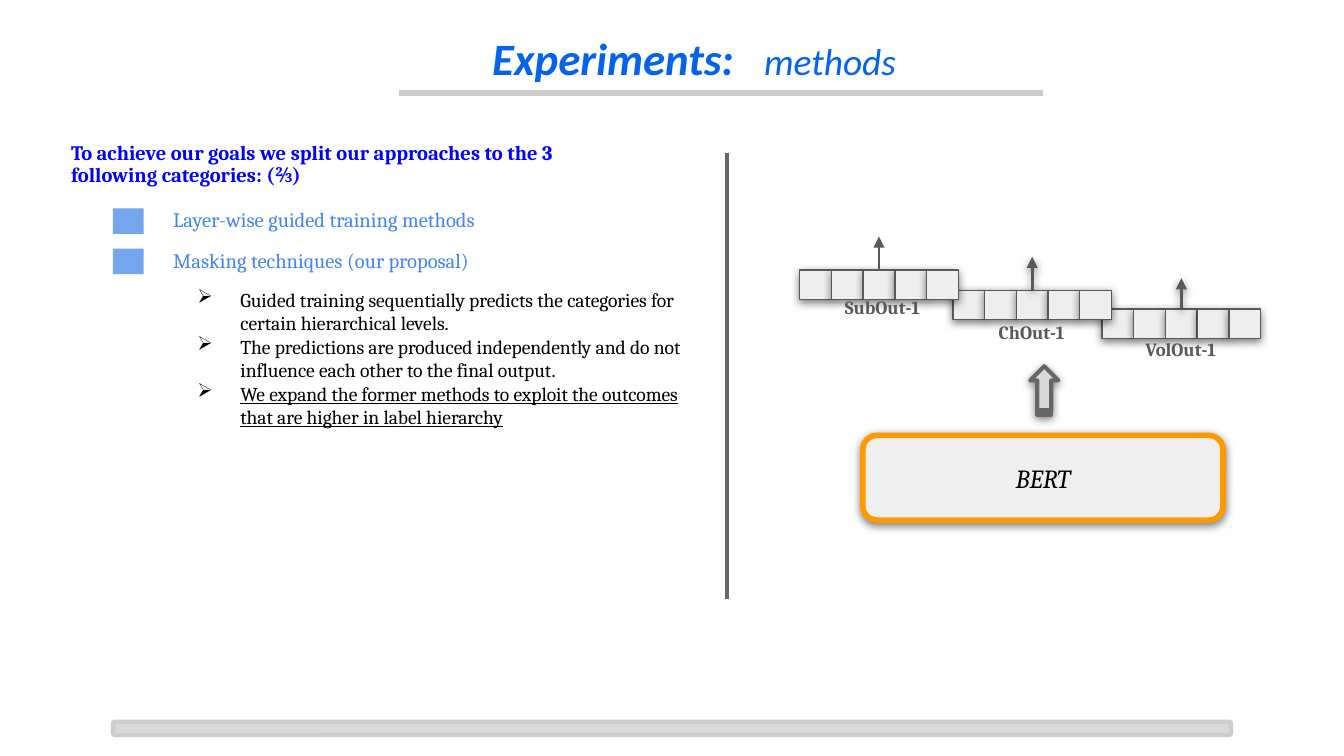
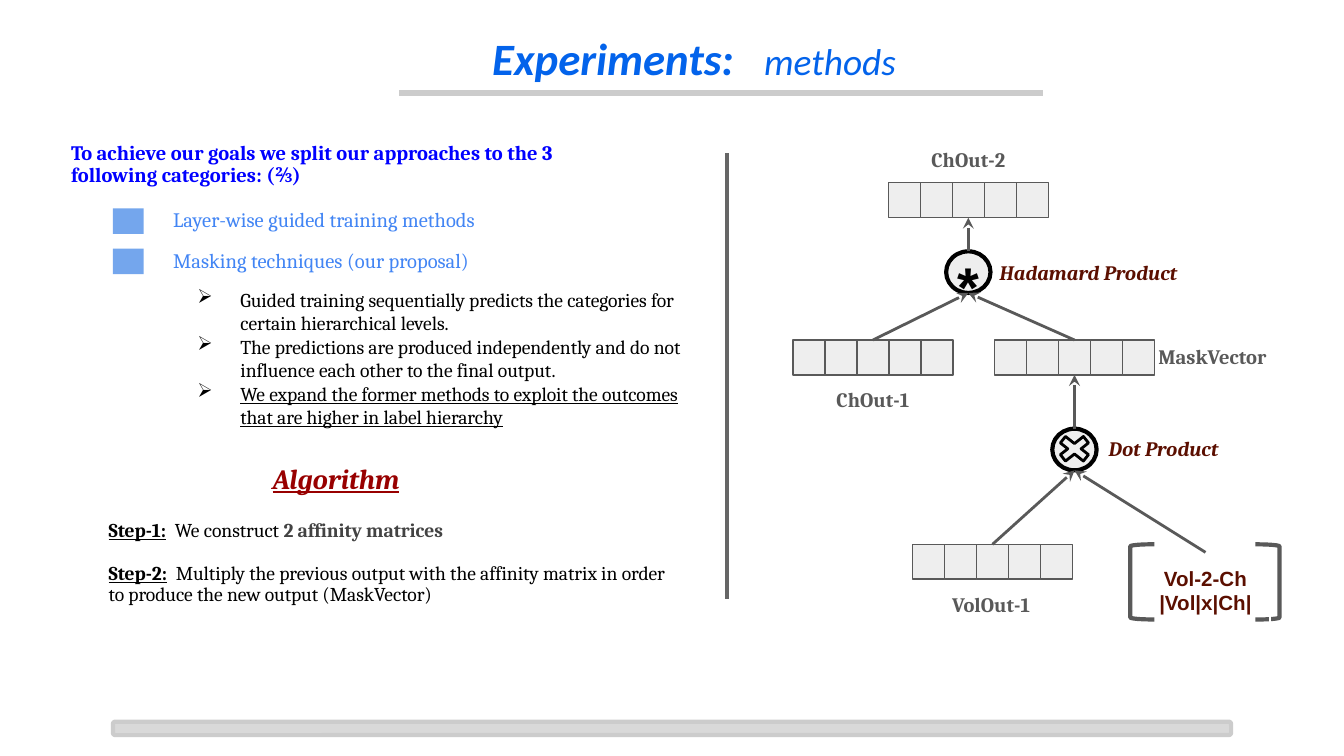
from lxml.etree import SubElement
from pptx import Presentation
from pptx.dml.color import RGBColor
from pptx.enum.shapes import MSO_CONNECTOR, MSO_SHAPE
from pptx.enum.text import MSO_ANCHOR, PP_ALIGN
from pptx.oxml.ns import qn
from pptx.util import Inches, Pt

SLIDE_W = Inches(10)
SLIDE_H = SLIDE_W * 9 // 16
UNIT = SLIDE_W // 100

BLACK = RGBColor(0x00, 0x00, 0x00)
WHITE = RGBColor(0xFF, 0xFF, 0xFF)
TITLE_BLUE = RGBColor(0x03, 0x63, 0xEB)
LEAD_BLUE = RGBColor(0x00, 0x00, 0xFF)
ITEM_BLUE = RGBColor(0x42, 0x85, 0xF4)
SQUARE_BLUE = RGBColor(0x74, 0xA6, 0xED)
RULE_GREY = RGBColor(0xCC, 0xCC, 0xCC)
BAND_GREY = RGBColor(0xD9, 0xD9, 0xD9)
CELL_GREY = RGBColor(0xEE, 0xEE, 0xEE)
MODEL_GREY = RGBColor(0xEF, 0xEF, 0xEF)
INK_GREY = RGBColor(0x59, 0x59, 0x59)
DIVIDER_GREY = RGBColor(0x66, 0x66, 0x66)
STRONG_GREY = RGBColor(0x43, 0x43, 0x43)
ORANGE = RGBColor(0xFF, 0x99, 0x00)
RED = RGBColor(0x98, 0x00, 0x00)
BROWN = RGBColor(0x5B, 0x0F, 0x00)

CELLS = 5
APPROACHES = ["Layer-wise guided training methods", "Masking techniques (our proposal)"]
POINTS = [
    ("Guided training sequentially predicts the categories for certain hierarchical levels.", False),
    ("The predictions are produced independently and do not influence each other to the final output.", False),
    ("We expand the former methods to exploit the outcomes that are higher in label hierarchy", True),
]


def emu(*units):
    """Turn grid units, a hundredth of the slide width each, into EMU."""
    return [round(u * UNIT) for u in units]


def add_run(p, text, size, color, font="Cambria", bold=False, italic=False, underline=False, spc=0):
    """Add one formatted run, with optional extra letter spacing in points."""
    r = p.add_run()
    r.text = text
    r.font.size, r.font.name = Pt(size), font
    r.font.bold, r.font.italic, r.font.underline = bold, italic, underline
    r.font.color.rgb = color
    if spc:
        r._r.get_or_add_rPr().set("spc", str(round(spc * 100)))


def setup_frame(tf, anchor=MSO_ANCHOR.TOP):
    """Give a text frame the shared insets, wrapping and anchor."""
    tf.word_wrap = True
    tf.vertical_anchor = anchor
    tf.margin_left = tf.margin_right = tf.margin_top = tf.margin_bottom = Inches(0.1)
    return tf


def add_text(sh, box, text="", size=11, color=BLACK, align=PP_ALIGN.LEFT,
             anchor=MSO_ANCHOR.TOP, spacing=None, **style):
    """Add a text box with a first paragraph and return its frame."""
    tf = setup_frame(sh.add_textbox(*emu(*box)).text_frame, anchor)
    p = tf.paragraphs[0]
    p.alignment, p.line_spacing = align, spacing
    if text:
        add_run(p, text, size, color, **style)
    return tf


def add_shadow(effects):
    """Put the soft downward shadow in an effect list."""
    shadow = SubElement(effects, qn("a:outerShdw"), blurRad=str(Pt(4.5)), dist=str(Pt(1.5)),
                        dir="5400000", algn="bl", rotWithShape="0")
    color = SubElement(shadow, qn("a:srgbClr"), val=str(BLACK))
    SubElement(color, qn("a:alpha"), val="50000")


def add_box(sh, kind, box, fill=None, line=None, width=0.75, shadow=False):
    """Add a preset shape with fill, outline and optional shadow."""
    shape = sh.add_shape(kind, *emu(*box))
    shape.shadow.inherit = False
    if fill is None:
        shape.fill.background()
    else:
        shape.fill.solid()
        shape.fill.fore_color.rgb = fill
    if line is None:
        shape.line.fill.background()
    else:
        shape.line.color.rgb = line
        shape.line.width = Pt(width)
    if shadow:
        add_shadow(shape._element.spPr.find(qn("a:effectLst")))
    return shape


def add_line(sh, start, end, color=INK_GREY, width=1.5, head=None, shadow=False, begin=None, finish=None):
    """Add a straight line, optionally arrowed and joined to shapes."""
    line = sh.add_connector(MSO_CONNECTOR.STRAIGHT, *emu(*start, *end))
    line.line.color.rgb = color
    line.line.width = Pt(width)
    if head:
        SubElement(line.line._get_or_add_ln(), qn("a:tailEnd"), type=head)
    effects = SubElement(line._element.spPr, qn("a:effectLst"))
    if shadow:
        add_shadow(effects)
    if begin:
        line.begin_connect(*begin)
    if finish:
        line.end_connect(*finish)


def new_group(s):
    """Start a group and return its shapes."""
    return s.shapes.add_group_shape().shapes


def header(s, box):
    """Fill the title placeholder and underline it."""
    x, y, w, h = box
    title = s.shapes.title
    title.left, title.top, title.width, title.height = emu(*box)
    p = setup_frame(title.text_frame).paragraphs[0]
    p.alignment = PP_ALIGN.CENTER
    add_run(p, "Experiments:", 24, TITLE_BLUE, "Calibri", bold=True, italic=True)
    add_run(p, " ", 24, TITLE_BLUE, "Calibri", bold=True, italic=True, spc=10.8)
    add_run(p, "methods", 20, TITLE_BLUE, "Calibri", italic=True)
    add_line(s.shapes, (x + 0.3, y + 5.6), (x + 48.2, y + 5.6), RULE_GREY, 3)


def add_bullet(p):
    """Give a paragraph the arrow bullet and hanging indent."""
    pPr = p._p.get_or_add_pPr()
    pPr.set("marL", str(Inches(0.5)))
    pPr.set("indent", str(-Inches(0.32)))
    SubElement(SubElement(pPr, qn("a:buClr")), qn("a:srgbClr"), val=str(BLACK))
    SubElement(pPr, qn("a:buChar"), char="➢")


def approaches(s, box):
    """Write the lead sentence, the marked approaches and the points."""
    x, y, w, h = box
    add_text(s.shapes, (x, y, 40.1, 5.4),
             "To achieve our goals we split our approaches to the 3 following categories: (⅔)",
             11, LEAD_BLUE, spacing=0.9, bold=True)
    for i, text in enumerate(APPROACHES):
        top = y + 5.1 + 3 * i
        add_box(s.shapes, MSO_SHAPE.RECTANGLE, (x + 4.1, top + 0.8, 2.3, 1.9), SQUARE_BLUE)
        add_text(s.shapes, (x + 7.6, top, 34, 3.5), text, 11, ITEM_BLUE,
                 anchor=MSO_ANCHOR.MIDDLE, spacing=0.9)
    tf = add_text(s.shapes, (x + 7.6, y + 10.8, w - 7.6, 12.6))
    for i, (text, underline) in enumerate(POINTS):
        p = tf.add_paragraph() if i else tf.paragraphs[0]
        add_bullet(p)
        add_run(p, text, 10.5, BLACK, underline=underline)


def algorithm(s, box):
    """Write the algorithm heading and its two steps."""
    x, y, w, h = box
    add_text(s.shapes, (x + 7.8, y, 20.2, 4.3), "Algorithm", 15, RED, PP_ALIGN.CENTER,
             spacing=0.9, bold=True, italic=True, underline=True)
    tf = add_text(s.shapes, (x, y + 4.1, w, h - 4.1), anchor=MSO_ANCHOR.MIDDLE, spacing=0.9)
    steps = [
        ("Step-1:", [("We construct ", BLACK, False), ("2 affinity matrices", STRONG_GREY, True)]),
        ("Step-2:", [("Multiply the previous output with the affinity matrix in order "
                      "to produce the new output (MaskVector)", BLACK, False)]),
    ]
    for i, (name, parts) in enumerate(steps):
        p = tf.add_paragraph() if i else tf.paragraphs[0]
        p.line_spacing = 0.9
        p.space_before = Pt(11.5 * i)
        add_run(p, name, 10.5, BLACK, bold=True, underline=True)
        add_run(p, " ", 10.5, BLACK, spc=2.3)
        for text, color, bold in parts:
            add_run(p, text, 10.5, color, bold=bold)


def vector(sh, box, label, label_box, size=11, align=PP_ALIGN.CENTER, shadow=False):
    """Draw a row of equal cells with its label and return the middle cell."""
    x, y, w, h = box
    dx, dy, lw, lh = label_box
    step = w / CELLS
    cells = [add_box(sh, MSO_SHAPE.RECTANGLE, (x + i * step, y, step, h), CELL_GREY, INK_GREY, shadow=shadow)
             for i in range(CELLS)]
    add_text(sh, (x + dx, y + dy, lw, lh), label, size, INK_GREY, align, bold=True)
    return cells[CELLS // 2]


def operator(sh, box, name, name_at, name_width):
    """Draw an operator circle with its name and return the circle."""
    x, y, w, h = box
    dx, dy = name_at
    circle = add_box(sh, MSO_SHAPE.OVAL, box, CELL_GREY, BLACK, 2.25)
    add_text(sh, (x + dx, y + dy, name_width, 3.9), name, 11, BROWN, bold=True, italic=True)
    return circle


def matrix(sh, box):
    """Draw the bracketed affinity matrix and return its text block."""
    x, y, w, h = box
    right = add_box(sh, MSO_SHAPE.LEFT_BRACKET, (x + w - 1.8, y, 1.8, h), None, INK_GREY, 2.25)
    right.rotation = 180
    body = add_box(sh, MSO_SHAPE.RECTANGLE, (x + 0.8, y + 0.6, 9.6, 5.7), None, WHITE)
    tf = setup_frame(body.text_frame)
    for i, text in enumerate(["Vol-2-Ch", "|Vol|x|Ch|"]):
        p = tf.add_paragraph() if i else tf.paragraphs[0]
        p.alignment = PP_ALIGN.CENTER
        add_run(p, text, 11, BROWN, "Arial", bold=True)
    add_box(sh, MSO_SHAPE.LEFT_BRACKET, (x, y, 1.8, h), None, INK_GREY, 2.25)
    return body


def model_diagram(s, box):
    """Draw the model block feeding three output vectors."""
    x, y, w, h = box
    model = add_box(s.shapes, MSO_SHAPE.ROUNDED_RECTANGLE, (x + 4.7, y + 14.8, 26.8, 6.3),
                    MODEL_GREY, ORANGE, 3, True)
    p = setup_frame(model.text_frame, MSO_ANCHOR.MIDDLE).paragraphs[0]
    p.alignment = PP_ALIGN.CENTER
    add_run(p, "BERT", 14, BLACK, italic=True)
    arrow = add_box(s.shapes, MSO_SHAPE.STRIPED_RIGHT_ARROW, (x + 16.4, y + 10.4, 3.6, 2.1),
                    BAND_GREY, DIVIDER_GREY, 2.25, True)
    arrow.rotation = 270
    outputs = [("VolOut-1", 22.5, 5.4, 0.8, 1.3, 2.3), ("ChOut-1", 11.4, 4, 0.8, 1.4, 2.5),
               ("SubOut-1", 0, 2.5, 1.1, 1.1, 2.5)]
    for name, left, top, dx, dy, rise in outputs:
        sh = new_group(s)
        cell = vector(sh, (x + left, y + top, 11.8, 2.2), name, (dx, dy, 10.1, 3.7), 10, shadow=True)
        mid = x + left + 5.9
        add_line(sh, (mid, y + top), (mid, y + top - rise), head="triangle",
                 shadow=name != "SubOut-1", begin=(cell, 0))


def masking_diagram(s, box):
    """Draw the masking tree from the volume output to the chapter output."""
    x, y, w, h = box
    row = 11.9, 2.6
    vol = vector(new_group(s), (x + 8.9, y + 30.5, *row), "VolOut-1", (0.3, 2.6, 11.1, 3.9))
    ch = vector(new_group(s), (x, y + 15.3, *row), "ChOut-1", (0.4, 2.6, 11.1, 3.9))
    mask = vector(new_group(s), (x + 15, y + 15.3, *row), "MaskVector",
                  (11.2, -0.6, 11.8, 3.9), align=PP_ALIGN.LEFT)
    result = vector(new_group(s), (x + 7.1, y + 3.6, *row), "ChOut-2", (0.4, -3.6, 11.1, 3.9))
    affinity = matrix(new_group(s), (x + 25.1, y + 30.5, 11.1, 5.6))

    hx, hy, dx, dy = x + 11.4, y + 8.7, x + 19.3, y + 21.9
    sh = new_group(s)
    hadamard = operator(sh, (hx, hy, 3.3, 3.1), "Hadamard Product", (3, -0.3), 17.6)
    add_text(sh, (hx - 0.7, hy - 1, 4.7, 7.1), "*", 30, BLACK, PP_ALIGN.CENTER, font="Arial", bold=True)
    sh = new_group(s)
    dot = operator(sh, (dx, dy, 3.3, 3.1), "Dot Product", (3.2, -0.4), 13.3)
    add_box(sh, MSO_SHAPE.MATH_MULTIPLY, (dx, dy + 0.2, 3.3, 2.6), CELL_GREY, BLACK, 1.5)

    for source, cx, cy in [(ch, hx, hy), (mask, hx, hy), (vol, dx, dy), (affinity, dx, dy)]:
        foot = cx + 1.65, cy + 3.1
        add_line(s.shapes, foot, foot, head="stealth", begin=(source, 0))
    for circle, target in [(hadamard, result), (dot, mask)]:
        add_line(s.shapes, (0, 0), (0, 0), head="stealth", begin=(circle, 0), finish=(target, 2))


def base_slide(prs):
    """Add a slide with title, footer band, divider and approaches."""
    s = prs.slides.add_slide(prs.slide_layouts[5])
    header(s, (29.4, 1.3, 44.5, 6.3))
    add_box(s.shapes, MSO_SHAPE.ROUNDED_RECTANGLE, (8.4, 53.7, 83.2, 1), BAND_GREY, RULE_GREY, 2.25)
    approaches(s, (4.3, 9.6, 49.8, 23.4))
    add_line(s.shapes, (54.1, 11.4), (54.1, 44.6), DIVIDER_GREY, 2.25)
    return s


def main():
    """Build both slides and save the deck."""
    prs = Presentation()
    prs.slide_width, prs.slide_height = SLIDE_W, SLIDE_H
    model_diagram(base_slide(prs), (59.5, 17.6, 34.3, 21.1))
    s = base_slide(prs)
    algorithm(s, (7.1, 33.6, 43.5, 12.5))
    masking_diagram(s, (59, 10, 38, 37))
    prs.save("out.pptx")


if __name__ == "__main__":
    main()
